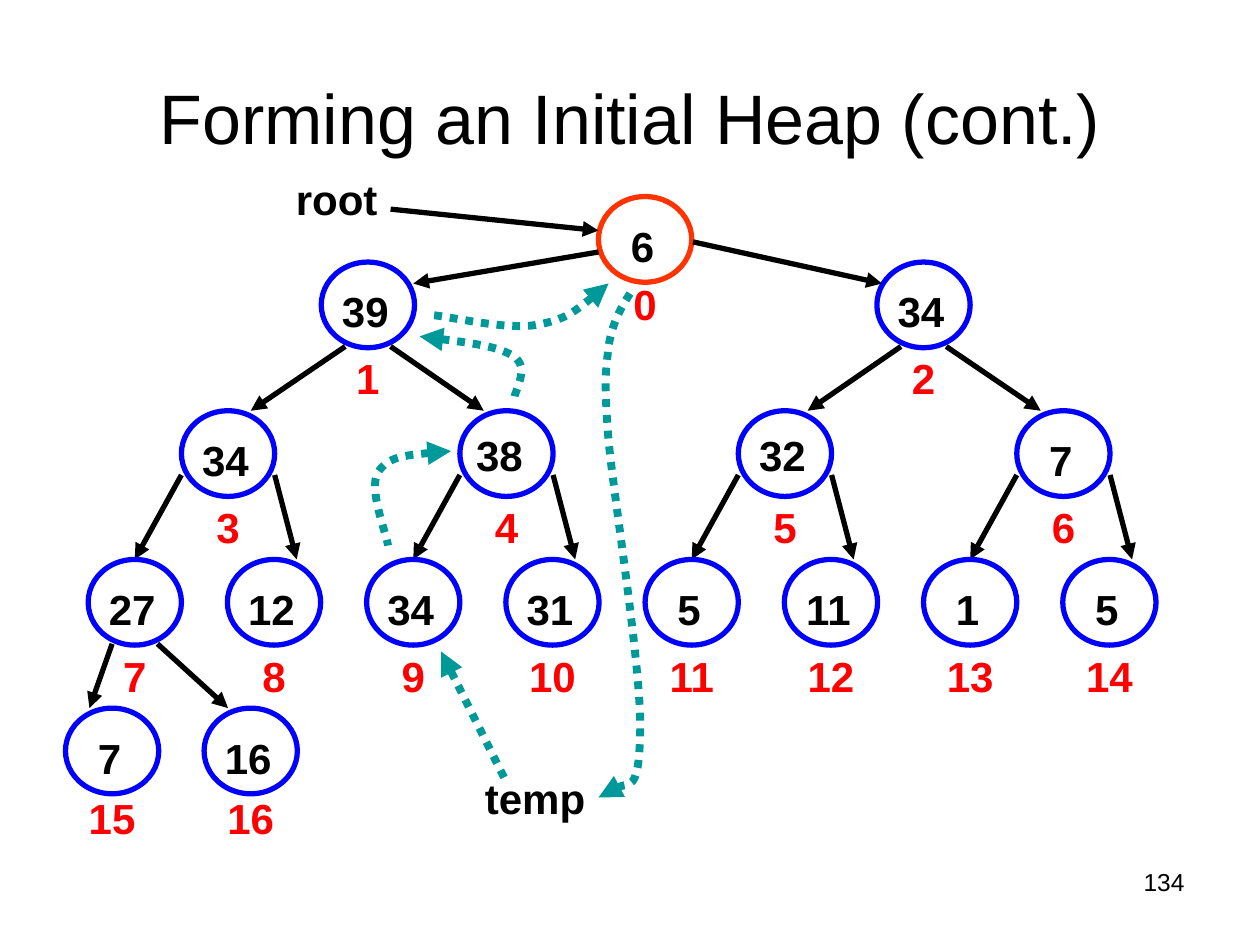
from dataclasses import dataclass

import pptx
import pptx.dml.color
import pptx.enum.dml
import pptx.enum.shapes
import pptx.enum.text
import pptx.oxml
import pptx.oxml.ns
import pptx.util

Inches = pptx.util.Inches
Pt = pptx.util.Pt
RGB = pptx.dml.color.RGBColor
Align = pptx.enum.text.PP_ALIGN
Anchor = pptx.enum.text.MSO_ANCHOR
Point = tuple[float, float]

BLACK = RGB(0x00, 0x00, 0x00)
WHITE = RGB(0xFF, 0xFF, 0xFF)
BLUE = RGB(0x00, 0x00, 0xFF)
RED = RGB(0xFF, 0x00, 0x00)
ORANGE = RGB(0xFF, 0x33, 0x00)
TEAL = RGB(0x00, 0x99, 0x99)

NODE_W, NODE_H = 0.74, 0.68


@dataclass
class Fork:
    """Arrow offsets: start from the node centre and top, ends from child centres."""
    out: float
    down: float
    left: float
    right: float


@dataclass
class Row:
    first: float
    step: float
    top: float
    label: float
    keys: list[int]
    fork: Fork | None = None
    color: RGB = BLUE

    def mid(self, i: int) -> float:
        return self.first + i * self.step


@dataclass
class Curve:
    """Cubic path: a start, then three points per segment."""
    points: list[Point]
    end: str


ROWS = [
    Row(5.12, 0, 1.56, 2.16, [6], color=ORANGE),
    Row(2.92, 4.41, 2.08, 2.75, [39, 34], Fork(0.18, 0.67, 0.18, -0.18)),
    Row(1.81, 2.21, 3.26, 3.93, [34, 38, 32, 7], Fork(0.37, 0.51, 0, 0.18)),
    Row(1.07, 1.105, 4.44, 5.11, [27, 12, 34, 31, 5, 11, 1, 5],
        Fork(0.18, 0.67, -0.18, -0.18)),
    Row(0.89, 1.1, 5.62, 6.24, [7, 16]),
]

# Right and top insets of keys that sit off the usual spot
INSETS = {4: (0.11, 0.02), 5: (0.04, 0.02)}

ROOT_ARROWS = [
    ((3.1, 1.66), (4.75, 1.83)),
    ((4.75, 2), (3.28, 2.25)),
    ((5.5, 1.92), (7, 2.25)),
]

CURVES = [
    Curve([(4.83, 2.25), (4.66, 2.4), (4.49, 2.54), (4.25, 2.58),
           (4.01, 2.62), (3.56, 2.51), (3.42, 2.5)], "head"),
    Curve([(3.33, 2.67), (3.65, 2.71), (3.96, 2.75), (4.08, 2.83),
           (4.21, 2.92), (4.08, 3.11), (4.08, 3.17)], "head"),
    Curve([(3.58, 3.58), (3.33, 3.6), (3.08, 3.62), (3, 3.75),
           (2.92, 3.88), (3.07, 4.24), (3.08, 4.33)], "head"),
    Curve([(5, 2.33), (4.93, 2.44), (4.86, 2.56), (4.83, 2.75),
           (4.81, 2.94), (4.79, 2.99), (4.83, 3.5),
           (4.88, 4.01), (5.1, 5.36), (5.08, 5.83),
           (5.07, 6.31), (4.81, 6.25), (4.75, 6.33)], "tail"),
]


def write(frame, text: str, size: float = 24, color: RGB = BLACK,
          bold: bool = True, align=Align.CENTER) -> None:
    para = frame.paragraphs[0]
    para.text = text
    para.alignment = align
    font = para.font
    font.name, font.size, font.bold = "Arial", Pt(size), bold
    font.color.rgb = color


def add_text(slide, text: str, left: float, top: float, width: float,
             height: float, **style):
    box = slide.shapes.add_textbox(*map(Inches, (left, top, width, height)))
    box.text_frame.word_wrap = True
    write(box.text_frame, text, **style)
    return box.text_frame


def add_node(slide, row: Row, i: int, index: int) -> None:
    """Draw the ellipse with its key."""
    left = row.mid(i) - NODE_W / 2
    node = slide.shapes.add_shape(
        pptx.enum.shapes.MSO_SHAPE.OVAL,
        *map(Inches, (left, row.top, NODE_W, NODE_H)))
    node.shadow.inherit = False
    node.fill.solid()
    node.fill.fore_color.rgb = WHITE
    node.line.color.rgb = row.color
    node.line.width = Pt(3)
    frame = node.text_frame
    frame.word_wrap = False
    frame.vertical_anchor = Anchor.MIDDLE
    right, top = INSETS.get(index, (0.04, 0.1))
    frame.margin_left = frame.margin_bottom = 0
    frame.margin_right, frame.margin_top = Inches(right), Inches(top)
    write(frame, str(row.keys[i]))


def style_line(line, color: RGB, width: float, end: str) -> None:
    line.color.rgb = color
    line.width = Pt(width)
    if color == TEAL:
        line.dash_style = pptx.enum.dml.MSO_LINE.ROUND_DOT
    tip = pptx.oxml.parse_xml(
        f'<a:{end}End {pptx.oxml.ns.nsdecls("a")} type="triangle"/>')
    line.fill  # the line element exists from here on
    line._get_or_add_ln().append(tip)


def add_arrow(slide, start: Point, stop: Point, color: RGB = BLACK,
              width: float = 3) -> None:
    arrow = slide.shapes.add_connector(
        pptx.enum.shapes.MSO_CONNECTOR.STRAIGHT, *map(Inches, start + stop))
    style_line(arrow.line, color, width, "tail")
    arrow._element.spPr.append(pptx.oxml.parse_xml(
        f'<a:effectLst {pptx.oxml.ns.nsdecls("a")}/>'))


def add_curve(slide, curve: Curve) -> None:
    """Build the outline from all points, then join each three into a Bezier."""
    points = [(Inches(x), Inches(y)) for x, y in curve.points]
    form = slide.shapes.build_freeform(*points[0])
    form.add_line_segments(points[1:], close=False)
    shape = form.convert_to_shape()
    qn = pptx.oxml.ns.qn
    track = next(shape._element.iter(qn("a:path")))
    steps = track.findall(qn("a:lnTo"))
    for n in range(0, len(steps), 3):
        bend = pptx.oxml.parse_xml(
            f'<a:cubicBezTo {pptx.oxml.ns.nsdecls("a")}/>')
        for step in steps[n:n + 3]:
            bend.append(step[0])
            track.remove(step)
        track.append(bend)
    shape.shadow.inherit = False
    shape.fill.background()
    style_line(shape.line, TEAL, 4.5, curve.end)


def add_fork(slide, row: Row, i: int, below: Row) -> None:
    fork = row.fork
    for side, shift in ((0, fork.left), (1, fork.right)):
        child = 2 * i + side
        if child < len(below.keys):
            out = fork.out if side else -fork.out
            add_arrow(slide, (row.mid(i) + out, row.top + fork.down),
                      (below.mid(child) + shift, below.top))


def add_tree(slide) -> None:
    index = 0
    for depth, row in enumerate(ROWS):
        for i in range(len(row.keys)):
            add_node(slide, row, i, index)
            add_text(slide, str(index), row.mid(i) - NODE_W / 2, row.label,
                     NODE_W, 0.51, color=RED)
            if row.fork:
                add_fork(slide, row, i, ROWS[depth + 1])
            index += 1
    for start, stop in ROOT_ARROWS:
        add_arrow(slide, start, stop)


def main() -> None:
    deck = pptx.Presentation()
    deck.slide_width, deck.slide_height = Inches(10), Inches(7.5)
    slide = deck.slides.add_slide(deck.slide_layouts[6])
    title = add_text(slide, "Forming an Initial Heap (cont.)",
                     0.5, 0.3, 9, 1.25, size=40, bold=False)
    title.vertical_anchor = Anchor.MIDDLE
    add_tree(slide)
    add_text(slide, "root", 2.25, 1.33, 1.1, 0.51, align=Align.LEFT)
    add_text(slide, "temp", 3.75, 6.08, 1.08, 0.5, align=Align.LEFT)
    for curve in CURVES:
        add_curve(slide, curve)
    add_arrow(slide, (4, 6.17), (3.5, 5.17), TEAL, 4.5)
    add_text(slide, "134", 7.17, 6.83, 2.33, 0.52, size=14, bold=False,
             align=Align.RIGHT)
    deck.save("out.pptx")


if __name__ == "__main__":
    main()
